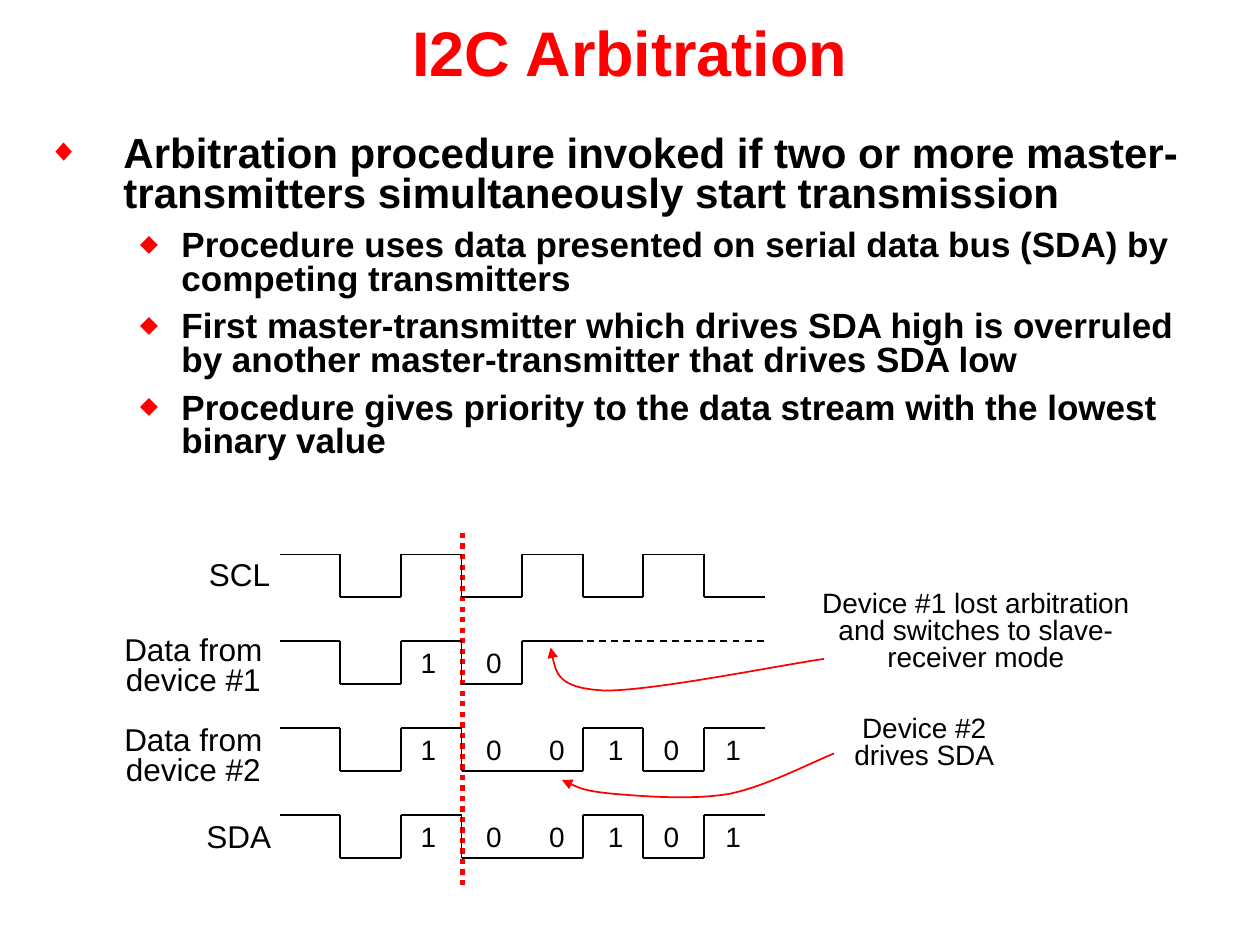
from dataclasses import dataclass
from itertools import groupby
from typing import NamedTuple

from lxml.etree import SubElement
from pptx import Presentation
from pptx.dml.color import RGBColor
from pptx.enum.dml import MSO_LINE_DASH_STYLE as Dash
from pptx.enum.shapes import MSO_CONNECTOR as Conn
from pptx.enum.text import MSO_ANCHOR as Anchor, MSO_AUTO_SIZE as AutoSize, PP_ALIGN as Align
from pptx.oxml.ns import qn
from pptx.util import Emu, Inches, Pt


@dataclass(frozen=True)
class Theme:
    font: str = "Arial"
    ink: str = "000000"
    accent: str = "FF0000"
    title: int = 36
    lead: int = 24
    point: int = 20
    label: int = 18
    note: int = 16
    thin: int = 1
    thick: int = 3


class Box(NamedTuple):
    x: float
    y: float
    w: float
    h: float


class Label(NamedTuple):
    text: str
    box: Box
    size: int
    wrap: bool = True


class Wave(NamedTuple):
    levels: str
    digits: str = ""


class Item(NamedTuple):
    text: str
    level: int
    size: int
    bullet: str
    margin: float
    indent: float
    before: int


T = Theme()
SLIDE_W, SLIDE_H = Inches(10), Inches(7.5)
LEFT, TOP = 22.2, 58.67
COL, ROW, SWING = 4.81, 9.2, 4.53
DIGIT_COLS = (2.12, 3.2, 4.24, 5.21, 6.13, 7.15)
POINT = (1, T.point, "⬥", 1.06, -0.33, 8)

ITEMS = (
    Item("Arbitration procedure invoked if two or more master-transmitters "
         "simultaneously start transmission", 0, T.lead, "◆", 0.6, -0.6, 0),
    Item("Procedure uses data presented on serial data bus (SDA) by competing transmitters", *POINT),
    Item("First master-transmitter which drives SDA high is overruled by another "
         "master-transmitter that drives SDA low", *POINT),
    Item("Procedure gives priority to the data stream with the lowest binary value", *POINT),
)
WAVES = (
    Wave("10101010"),
    Wave("10101", "10"),
    Wave("10100101", "100101"),
    Wave("10100101", "100101"),
)
LABELS = (
    Label("SCL", Box(15.6, 58.8, 6.9, 4.53), T.label, False),
    Label("SDA", Box(15.4, 86.53, 7.2, 4.53), T.label, False),
    Label("Data from device #1", Box(8.7, 66.8, 13.3, 7.73), T.label),
    Label("Data from device #2", Box(8.7, 76.27, 13.3, 7.73), T.label),
    Label("Device #1 lost arbitration and switches to slave-receiver mode",
          Box(63.7, 62, 27.5, 9.87), T.note),
    Label("Device #2 drives SDA", Box(64.6, 75.2, 17.5, 7.07), T.note),
)
ARROWS = (
    ((43.7, 68.53), (44, 70.67), (44.3, 72.8), (47.9, 73.07),
     (51.5, 73.2), (61.9, 70.4), (65.4, 69.73)),
    ((44.6, 82.53), (45.6, 83.2), (46.5, 83.73), (48.7, 84), (51, 84.27),
     (55, 84.67), (57.9, 84), (60.8, 83.2), (64, 80.93), (66.2, 79.73)),
)


def px(share: float) -> Emu:
    return Emu(round(SLIDE_W * share / 100))


def py(share: float) -> Emu:
    return Emu(round(SLIDE_H * share / 100))


def place(sp, box: Box) -> None:
    sp.left, sp.top, sp.width, sp.height = px(box.x), py(box.y), px(box.w), py(box.h)


def style(p, size: int, color: str, bold: bool = False) -> None:
    for r in p.runs:
        r.font.name, r.font.size, r.font.bold = T.font, Pt(size), bold
        r.font.color.rgb = RGBColor.from_string(color)


def add_bullet(p, item: Item) -> None:
    pPr = p._p.get_or_add_pPr()
    pPr.set("marL", str(Inches(item.margin)))
    pPr.set("indent", str(Inches(item.indent)))
    SubElement(SubElement(pPr, qn("a:buClr")), qn("a:srgbClr"), val=T.accent)
    SubElement(pPr, qn("a:buSzPct"), val="75000")
    SubElement(pPr, qn("a:buFont"), typeface=T.font)
    SubElement(pPr, qn("a:buChar"), char=item.bullet)


def fill_title(sp, text: str) -> None:
    place(sp, Box(0, 0, 100, 10.8))
    tf = sp.text_frame
    tf.text = text
    tf.vertical_anchor = Anchor.MIDDLE
    tf.paragraphs[0].alignment = Align.CENTER
    style(tf.paragraphs[0], T.title, T.accent, True)


def fill_body(sp, items: tuple[Item, ...]) -> None:
    place(sp, Box(2.8, 13.73, 94.2, 36.53))
    tf = sp.text_frame
    tf.text = "\n".join(item.text for item in items)
    tf.auto_size = AutoSize.NONE
    tf.vertical_anchor = Anchor.TOP
    for p, item in zip(tf.paragraphs, items):
        p.level = item.level
        p.line_spacing, p.space_before = 0.8, Pt(item.before)
        add_bullet(p, item)
        style(p, item.size, T.ink, True)


def add_label(s, label: Label) -> None:
    sp = s.shapes.add_textbox(0, 0, 0, 0)
    place(sp, label.box)
    tf = sp.text_frame
    tf.text = label.text
    tf.word_wrap = label.wrap
    p = tf.paragraphs[0]
    p.alignment = Align.CENTER if label.wrap else Align.LEFT
    p.line_spacing = 0.8
    style(p, label.size, T.ink)


def add_line(s, x1: float, y1: float, x2: float, y2: float,
             color: str = T.ink, width: int = T.thin, dash: Dash | None = None) -> None:
    c = s.shapes.add_connector(Conn.STRAIGHT, px(x1), py(y1), px(x2), py(y2))
    c.line.color.rgb = RGBColor.from_string(color)
    c.line.width = Pt(width)
    if dash:
        c.line.dash_style = dash
    SubElement(c._element.spPr, qn("a:effectLst"))


def add_wave(s, wave: Wave, row: int) -> None:
    x, top = LEFT, TOP + row * ROW
    for i, (level, run) in enumerate(groupby(wave.levels)):
        end = x + COL * len(list(run))
        y = top if level == "1" else top + SWING
        if i:
            add_line(s, x, top, x, top + SWING)
        add_line(s, x, y, end, y)
        x = end
    for digit, col in zip(wave.digits, DIGIT_COLS):
        add_label(s, Label(digit, Box(LEFT + col * COL, top + 0.5, 3.2, 4.13), T.note, False))


def add_curved_arrow(s, points: tuple[tuple[float, float], ...]) -> None:
    start, *rest = [(px(x), py(y)) for x, y in points]
    fb = s.shapes.build_freeform(*start)
    fb.add_line_segments(rest, close=False)
    sp = fb.convert_to_shape()
    sp.shadow.inherit = False
    sp.fill.background()
    sp.line.color.rgb = RGBColor.from_string(T.accent)
    sp.line.width = Pt(T.thin)
    SubElement(sp.line._get_or_add_ln(), qn("a:headEnd"), type="triangle")
    outline = next(sp._element.iter(qn("a:path")))
    segments = outline.findall(qn("a:lnTo"))
    for i in range(0, len(segments), 3):
        curve = SubElement(outline, qn("a:cubicBezTo"))
        for segment in segments[i:i + 3]:
            curve.append(segment[0])
            outline.remove(segment)


def main() -> None:
    prs = Presentation()
    prs.slide_width, prs.slide_height = SLIDE_W, SLIDE_H
    s = prs.slides.add_slide(prs.slide_layouts[1])
    fill_title(s.shapes.title, "I2C Arbitration")
    fill_body(s.placeholders[1], ITEMS)
    add_line(s, 36.7, 56.4, 36.7, 94.13, T.accent, T.thick, Dash.ROUND_DOT)
    for row, wave in enumerate(WAVES):
        add_wave(s, wave, row)
    add_line(s, 45.6, 67.8, 60.6, 67.8, dash=Dash.DASH)
    for label in LABELS:
        add_label(s, label)
    for points in ARROWS:
        add_curved_arrow(s, points)
    prs.save("out.pptx")


if __name__ == "__main__":
    main()
